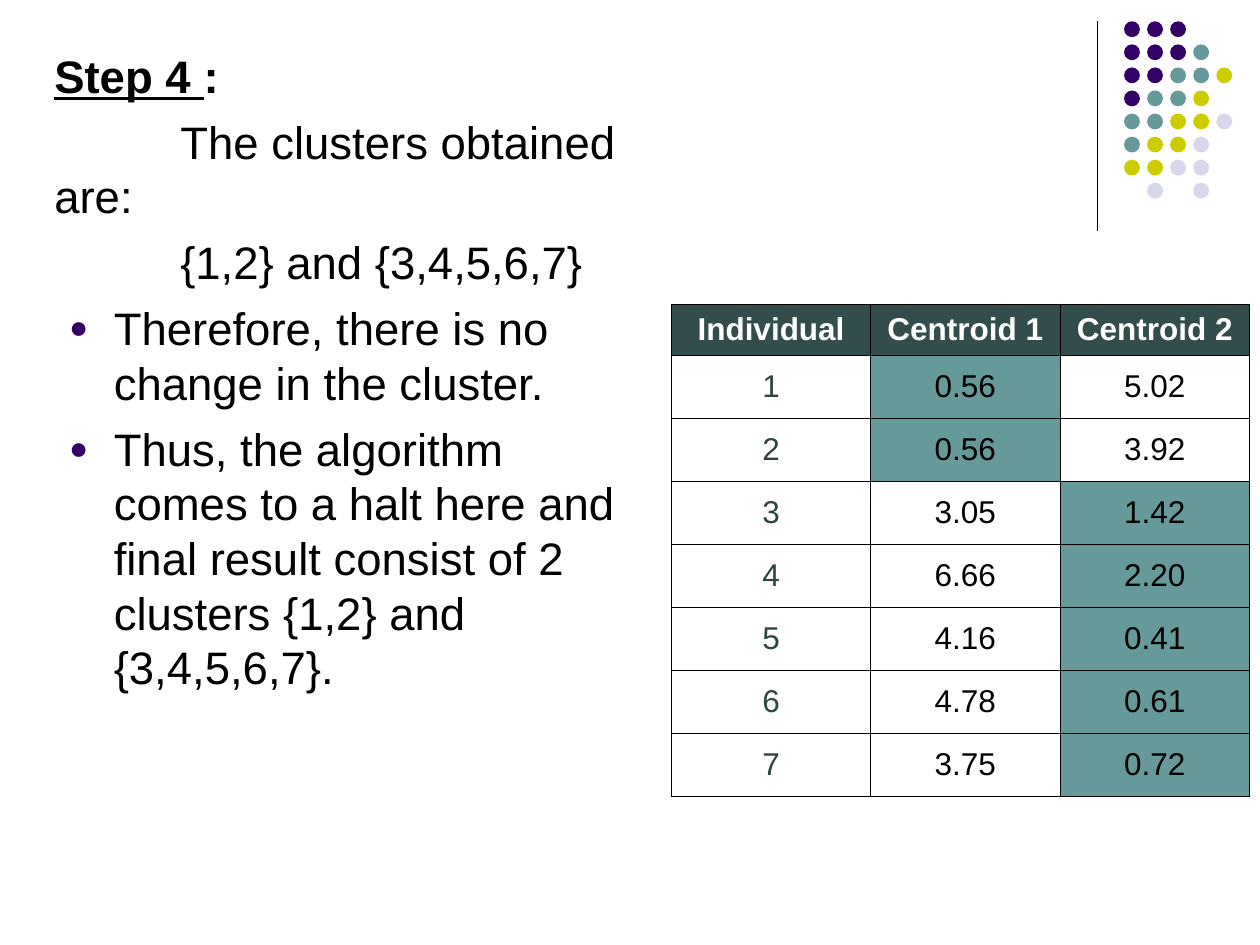
from lxml.etree import SubElement
from pptx import Presentation
from pptx.dml.color import RGBColor
from pptx.enum.shapes import MSO_CONNECTOR, MSO_SHAPE
from pptx.enum.text import MSO_ANCHOR, MSO_AUTO_SIZE, PP_ALIGN
from pptx.oxml.ns import qn
from pptx.util import Cm, Pt

BLACK = RGBColor(0x00, 0x00, 0x00)
WHITE = RGBColor(0xFF, 0xFF, 0xFF)
PURPLE = RGBColor(0x33, 0x00, 0x66)
TEAL = RGBColor(0x66, 0x99, 0x99)
OLIVE = RGBColor(0xCC, 0xCC, 0x00)
LAVENDER = RGBColor(0xD8, 0xD8, 0xEC)
DARK_TEAL = RGBColor(0x33, 0x4D, 0x4D)
INDEX_TEAL = RGBColor(0x2E, 0x45, 0x45)

DOT_COLORS = {"P": PURPLE, "T": TEAL, "O": OLIVE, "L": LAVENDER}
DOT_ROWS = ["PPP", "PPPT", "PPTTO", "PTTO", "TTOOL", "TOOL", "OOLL", " L L"]

INTRO = ["\tThe clusters obtained are:", "\t{1,2} and {3,4,5,6,7}"]
CONCLUSIONS = [
    "Therefore, there is no change in the cluster.",
    "Thus, the algorithm comes to a halt here and final result consist of "
    "2 clusters {1,2} and {3,4,5,6,7}.",
]

HEADERS = ["Individual", "Centroid 1", "Centroid 2"]
DISTANCES = [
    ("0.56", "5.02"),
    ("0.56", "3.92"),
    ("3.05", "1.42"),
    ("6.66", "2.20"),
    ("4.16", "0.41"),
    ("4.78", "0.61"),
    ("3.75", "0.72"),
]


class SlideBuilder:
    font_name = "Arial"
    body_size = Pt(26)
    table_size = Pt(18)
    border_width = Pt(0.45)
    tab_step = Cm(2.54)

    def __init__(self, slide):
        self.slide = slide

    def style_runs(self, paragraph, size, color=BLACK, bold=False):
        for run in paragraph.runs:
            font = run.font
            font.name, font.size, font.bold = self.font_name, size, bold
            font.color.rgb = color

    def divider(self, x, top, bottom):
        line = self.slide.shapes.add_connector(
            MSO_CONNECTOR.STRAIGHT, x, top, x, bottom)
        line.line.color.rgb = BLACK
        line.line.width = Pt(0.75)
        SubElement(line._element.spPr, qn("a:effectLst"))

    def dot_grid(self, left, top, pitch, diameter):
        for row, codes in enumerate(DOT_ROWS):
            for column, code in enumerate(codes):
                if code == " ":
                    continue
                dot = self.slide.shapes.add_shape(
                    MSO_SHAPE.OVAL, left + column * pitch, top + row * pitch,
                    diameter, diameter)
                dot.shadow.inherit = False
                dot.fill.solid()
                dot.fill.fore_color.rgb = DOT_COLORS[code]
                dot.line.fill.background()

    def format_paragraph(self, paragraph, bulleted):
        """Set indents, bullet or tab stops, and spacing."""
        props = paragraph._p.get_or_add_pPr()
        margin, indent = (Cm(1.2), Cm(-0.9)) if bulleted else (0, 0)
        props.set("marL", str(margin))
        props.set("indent", str(indent))
        if bulleted:
            color = SubElement(props, qn("a:buClr"))
            SubElement(color, qn("a:srgbClr"), val=str(PURPLE))
            SubElement(props, qn("a:buSzPct"), val="70000")
            SubElement(props, qn("a:buFont"), typeface=self.font_name)
            SubElement(props, qn("a:buChar"), char="●")
        else:
            props.set("defTabSz", str(self.tab_step))
            SubElement(props, qn("a:buNone"))
            tabs = SubElement(props, qn("a:tabLst"))
            for stop in range(8):
                SubElement(tabs, qn("a:tab"), pos=str(stop * self.tab_step),
                           algn="l")
        paragraph.alignment = PP_ALIGN.LEFT
        paragraph.line_spacing = 1.0
        paragraph.space_before = Pt(6.5)

    def body(self, left, top, width, height):
        body = self.slide.placeholders[1]
        body.left, body.top, body.width, body.height = left, top, width, height
        frame = body.text_frame
        frame.word_wrap = True
        frame.auto_size = MSO_AUTO_SIZE.NONE
        frame.vertical_anchor = MSO_ANCHOR.TOP

        heading = frame.paragraphs[0]
        heading.text = "Step 4 "
        heading.add_run().text = ":"
        self.format_paragraph(heading, bulleted=False)
        heading.space_before = Pt(0)
        self.style_runs(heading, self.body_size, bold=True)
        heading.runs[0].font.underline = True

        for text in INTRO + CONCLUSIONS:
            paragraph = frame.add_paragraph()
            paragraph.text = text
            self.format_paragraph(paragraph, bulleted=text in CONCLUSIONS)
            self.style_runs(paragraph, self.body_size)

    def cell(self, cell, text, color, fill=None, bold=False):
        cell.vertical_anchor = MSO_ANCHOR.MIDDLE
        paragraph = cell.text_frame.paragraphs[0]
        paragraph.text = text
        paragraph.alignment = PP_ALIGN.CENTER
        self.style_runs(paragraph, self.table_size, color, bold)
        props = cell._tc.get_or_add_tcPr()
        for side in ("lnL", "lnR", "lnT", "lnB"):
            border = SubElement(props, qn(f"a:{side}"),
                                w=str(self.border_width))
            solid = SubElement(border, qn("a:solidFill"))
            SubElement(solid, qn("a:srgbClr"), val=str(BLACK))
        if fill is None:
            cell.fill.background()
        else:
            cell.fill.solid()
            cell.fill.fore_color.rgb = fill

    def distance_table(self, left, top, widths, header_height, row_height):
        """Add the distances, shading the nearest centroid in each row."""
        row_count = len(DISTANCES) + 1
        table = self.slide.shapes.add_table(
            row_count, len(HEADERS), left, top, sum(widths),
            header_height + row_height * len(DISTANCES)).table
        for column, width in zip(table.columns, widths):
            column.width = width
        for index, row in enumerate(table.rows):
            row.height = row_height if index else header_height
        for column, header in enumerate(HEADERS):
            self.cell(table.cell(0, column), header, WHITE, DARK_TEAL, True)
        for row, distances in enumerate(DISTANCES, start=1):
            self.cell(table.cell(row, 0), str(row), INDEX_TEAL)
            nearest = min(distances, key=float)
            for column, distance in enumerate(distances, start=1):
                fill = TEAL if distance == nearest else None
                self.cell(table.cell(row, column), distance, BLACK, fill)


def main():
    presentation = Presentation()
    presentation.slide_width = Cm(25.4)
    presentation.slide_height = Cm(19.05)
    slide = presentation.slides.add_slide(presentation.slide_layouts[1])
    empty_title = slide.shapes.title._element
    empty_title.getparent().remove(empty_title)

    builder = SlideBuilder(slide)
    builder.divider(Cm(22.12), Cm(0.43), Cm(4.65))
    builder.dot_grid(Cm(22.66), Cm(0.43), Cm(0.465), Cm(0.32))
    builder.body(Cm(0.84), Cm(0.84), Cm(12.5), Cm(16.28))
    builder.distance_table(Cm(13.54), Cm(6.13),
                           [Cm(4.01), Cm(3.82), Cm(3.82)], Cm(1.03), Cm(1.27))
    presentation.save("out.pptx")


if __name__ == "__main__":
    main()
